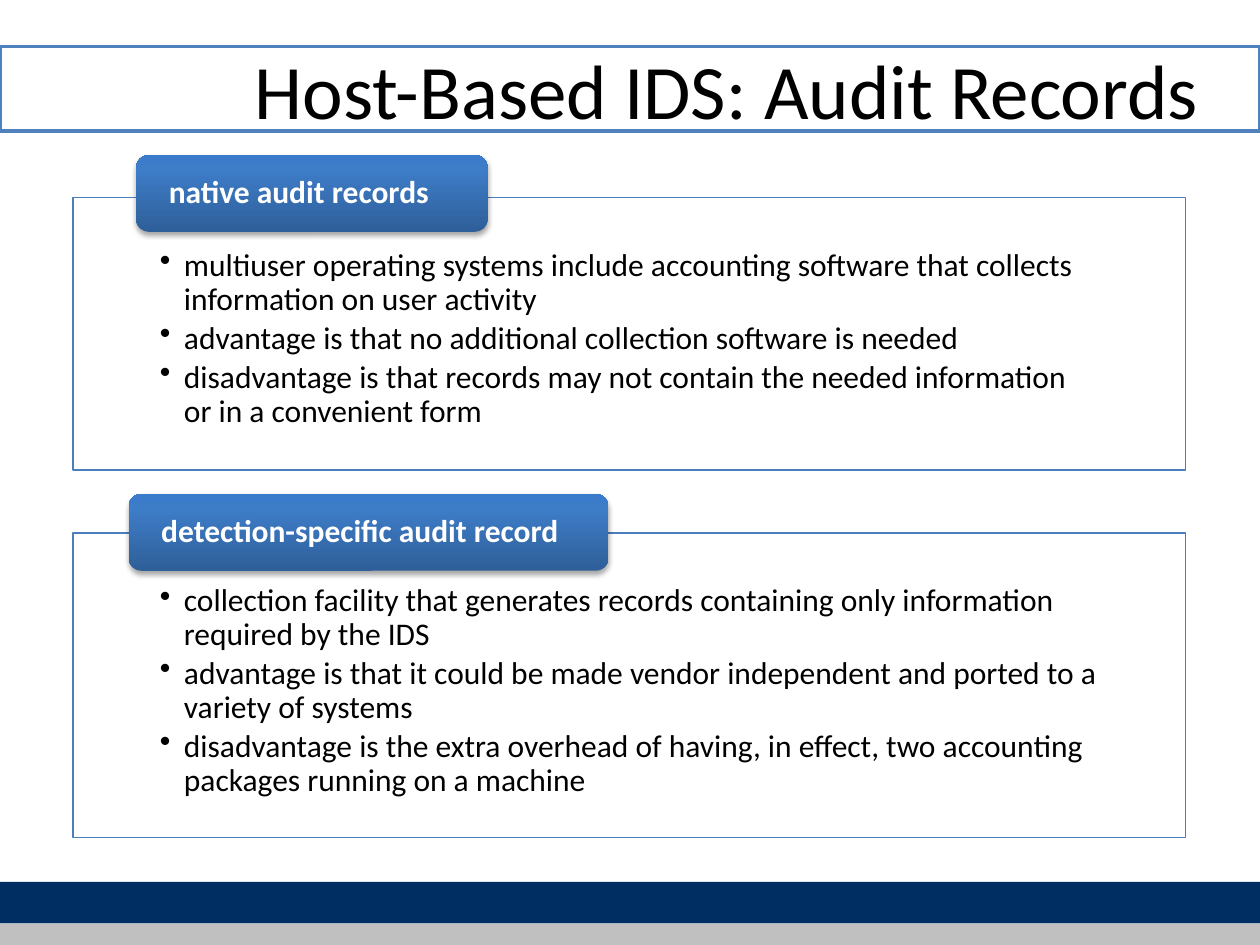
from lxml.etree import SubElement
from pptx import Presentation
from pptx.dml.color import RGBColor
from pptx.enum.shapes import MSO_SHAPE
from pptx.enum.text import MSO_ANCHOR, MSO_AUTO_SIZE, PP_ALIGN
from pptx.oxml import parse_xml
from pptx.oxml.ns import nsdecls, qn
from pptx.util import Inches, Pt

TITLE = "Host-Based IDS: Audit Records"
FONT = "Calibri"
COLORS = {
    "navy": "002E62", "gray": "C0C0C0", "frame": "4F81BD", "outline": "4B7EBC",
    "white": "FFFFFF", "black": "000000",
}
TAB_GRADIENT = [(0, "2F5F99"), (80, "3D7CC7"), (100, "3A7CCB")]

# Bands across the page: top, height, fill, line
BANDS = [
    (7, 0.33, "navy", None),
    (0.37, 0.67, None, "frame"),
    (7.33, 0.17, "gray", None),
]

# Each section: panel top and height, tab left, top and width, heading, bullets
SECTIONS = [
    {
        "panel": (1.57, 2.16), "tab": (1.08, 1.23, 2.79),
        "heading": "native audit records",
        "bullets": [
            "multiuser operating systems include accounting software that collects information on user activity",
            "advantage is that no additional collection software is needed",
            "disadvantage is that records may not contain the needed information or in a convenient form",
        ],
    },
    {
        "panel": (4.23, 2.42), "tab": (1.02, 3.92, 3.81),
        "heading": "detection-specific audit record",
        "bullets": [
            "collection facility that generates records containing only information required by the IDS",
            "advantage is that it could be made vendor independent and ported to a variety of systems",
            "disadvantage is the extra overhead of having, in effect, two accounting packages running on a machine",
        ],
    },
]
PANEL_LEFT, PANEL_WIDTH, TAB_HEIGHT = 0.58, 8.83, 0.61


def color(name):
    return RGBColor.from_string(COLORS[name])


def add_block(page, kind, place, fill=None, line=None, weight=0.75):
    block = page.shapes.add_shape(kind, *[Inches(value) for value in place])
    block.shadow.inherit = False
    if fill:
        block.fill.solid()
        block.fill.fore_color.rgb = color(fill)
    else:
        block.fill.background()
    if line:
        block.line.color.rgb = color(line)
        block.line.width = Pt(weight)
    else:
        block.line.fill.background()
    return block


def set_frame(frame, insets, anchor):
    frame.word_wrap = True
    frame.auto_size = MSO_AUTO_SIZE.NONE
    frame.vertical_anchor = anchor
    (frame.margin_left, frame.margin_top,
     frame.margin_right, frame.margin_bottom) = [Inches(value) for value in insets]


def style(paragraph, size, tone, bold=False):
    paragraph.alignment = PP_ALIGN.LEFT
    for span in paragraph.runs:
        span.font.name = FONT
        span.font.size = Pt(size)
        span.font.bold = bold
        span.font.color.rgb = color(tone)


def add_bullet(paragraph):
    properties = paragraph._p.get_or_add_pPr()
    properties.set("marL", str(Inches(0.19)))
    properties.set("indent", str(-Inches(0.19)))
    SubElement(properties, qn("a:buChar")).set("char", "•")


def add_gradient_and_shadow(block):
    stops = "".join(
        f'<a:gs pos="{position * 1000}"><a:srgbClr val="{tone}"/></a:gs>'
        for position, tone in TAB_GRADIENT)
    gradient = parse_xml(
        f'<a:gradFill {nsdecls("a")} rotWithShape="1"><a:gsLst>{stops}</a:gsLst>'
        '<a:lin ang="16200000" scaled="0"/></a:gradFill>')
    properties = block._element.spPr
    properties.replace(properties.find(qn("a:noFill")), gradient)
    properties.find(qn("a:effectLst")).append(parse_xml(
        f'<a:outerShdw {nsdecls("a")} blurRad="{Pt(3.1)}" dist="{Pt(1.8)}" dir="5400000" '
        f'rotWithShape="0"><a:srgbClr val="{COLORS["black"]}"><a:alpha val="35000"/>'
        '</a:srgbClr></a:outerShdw>'))


def add_panel(page, section):
    top, height = section["panel"]
    panel = add_block(page, MSO_SHAPE.RECTANGLE,
                      (PANEL_LEFT, top, PANEL_WIDTH, height), "white", "outline")
    tone = panel._element.spPr.find(qn("a:solidFill"))[0]
    SubElement(tone, qn("a:alpha")).set("val", "90000")
    frame = panel.text_frame
    set_frame(frame, (0.69, 0.41, 0.69, 0.14), MSO_ANCHOR.TOP)
    frame.text = "\n".join(section["bullets"])
    for paragraph in frame.paragraphs:
        add_bullet(paragraph)
        paragraph.level = 1
        paragraph.line_spacing = 0.9
        paragraph.space_after = Pt(2.7)
        style(paragraph, 18, "black")


def add_tab(page, section):
    tab = add_block(page, MSO_SHAPE.ROUNDED_RECTANGLE, (*section["tab"], TAB_HEIGHT))
    add_gradient_and_shadow(tab)
    frame = tab.text_frame
    set_frame(frame, (0.23, 0, 0.23, 0), MSO_ANCHOR.MIDDLE)
    frame.text = section["heading"]
    frame.paragraphs[0].line_spacing = 0.9
    style(frame.paragraphs[0], 18, "white", bold=True)


def main():
    deck = Presentation()
    deck.slide_width, deck.slide_height = Inches(10), Inches(7.5)
    page = deck.slides.add_slide(deck.slide_layouts[5])

    # Bands
    for top, height, fill, line in BANDS:
        add_block(page, MSO_SHAPE.RECTANGLE, (0, top, 10, height), fill, line, 2)

    # Title
    title = page.shapes.title
    title.left, title.top = Inches(1.92), Inches(0.08)
    title.width, title.height = Inches(7.92), Inches(1.25)
    set_frame(title.text_frame, (0.1, 0.05, 0.1, 0.05), MSO_ANCHOR.MIDDLE)
    title.text_frame.text = TITLE
    style(title.text_frame.paragraphs[0], 44, "black")

    # Panels with their heading tabs
    for section in SECTIONS:
        add_panel(page, section)
        add_tab(page, section)

    deck.save("out.pptx")


if __name__ == "__main__":
    main()
